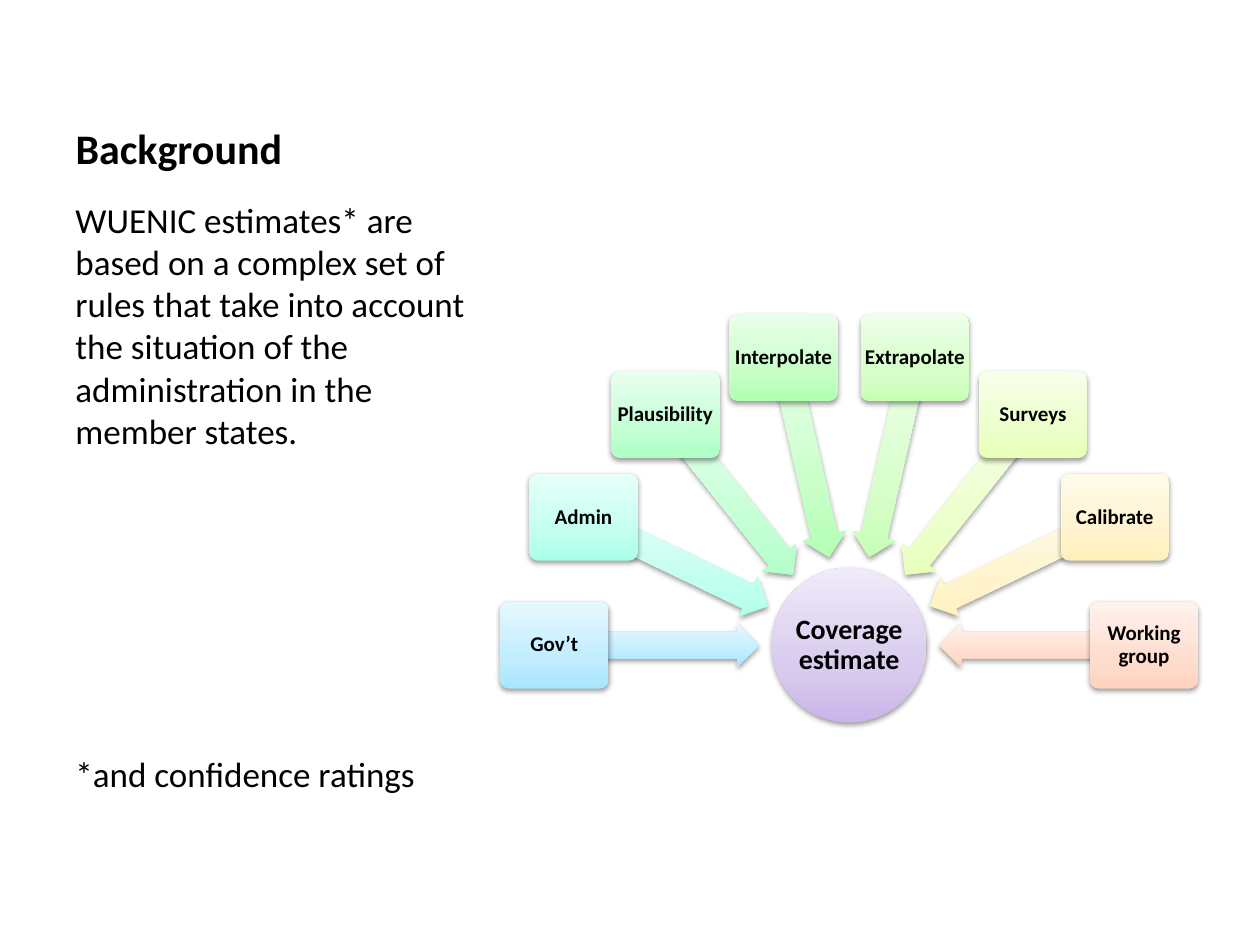
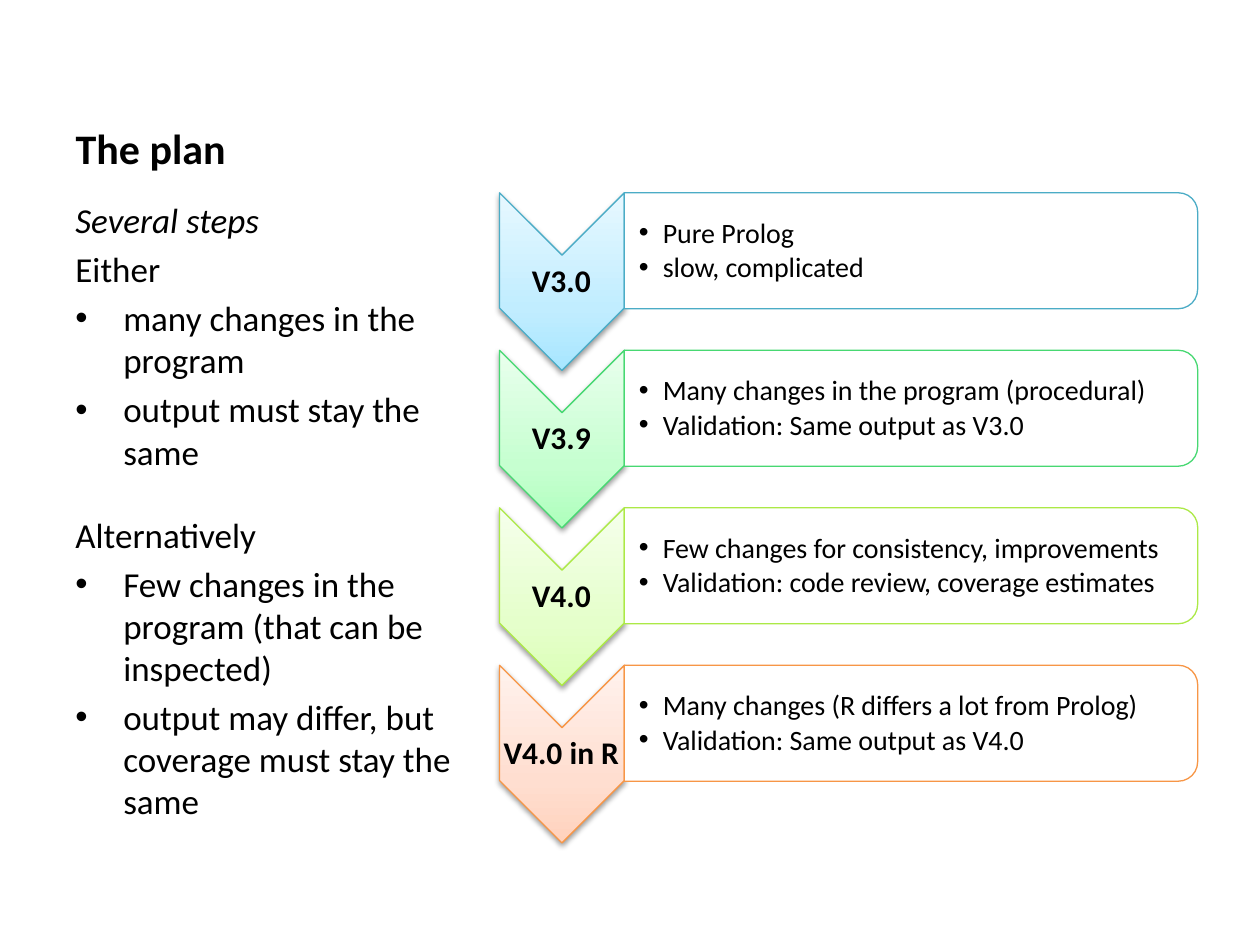
from copy import deepcopy
from math import cos, radians, sin

from lxml import etree
from pptx import Presentation
from pptx.dml.color import RGBColor
from pptx.enum.shapes import MSO_SHAPE
from pptx.enum.text import MSO_ANCHOR, PP_ALIGN
from pptx.oxml.ns import qn
from pptx.util import Inches, Pt

FONT = "Calibri"
BLACK = RGBColor(0x00, 0x00, 0x00)
WHITE = RGBColor(0xFF, 0xFF, 0xFF)
CENTER, LEFT = PP_ALIGN.CENTER, PP_ALIGN.LEFT
TOP, MIDDLE, BOTTOM = MSO_ANCHOR.TOP, MSO_ANCHOR.MIDDLE, MSO_ANCHOR.BOTTOM
ELLIPSE, ROUNDED = MSO_SHAPE.OVAL, MSO_SHAPE.ROUNDED_RECTANGLE
ARROW, CHEVRON = MSO_SHAPE.LEFT_ARROW, MSO_SHAPE.CHEVRON
PANEL = MSO_SHAPE.ROUND_2_SAME_RECTANGLE


def shades(*codes):
    return [RGBColor.from_string(code) for code in codes]


PURPLE = shades("C9B5E8", "D8CBEE", "F0EAF9")
BLUE = shades("A7E6FF", "C1EDFF", "E7F8FF")
AQUA = shades("AAFFEA", "C3FFEF", "E8FFF9")
MINT = shades("AEFFC6", "C5FFD6", "E9FFEF")
GREEN = shades("B1FFB2", "C8FFC8", "EAFFEA")
LEAF = shades("C6FFB4", "D6FFCA", "EFFFEB")
LIME = shades("E7FFB7", "EDFFCC", "F8FFEC")
YELLOW = shades("FFF0BA", "FFF4CE", "FFFBEC")
ORANGE = shades("FFD2BD", "FFDED0", "FFF2ED")
SPRING = shades("AFFFBD", "C6FFD0", "E9FFED")
CHARTREUSE = shades("DBFFB6", "E5FFCB", "F5FFEB")
BLUE_EDGE, SPRING_EDGE, CHARTREUSE_EDGE, ORANGE_EDGE = shades(
    "4BACC6", "47D872", "ACE946", "F79646")
SHADE_STOPS = (0, 0.35, 1)

HUB = "Coverage estimate"
SOURCES = [
    ("Gov’t", BLUE),
    ("Admin", AQUA),
    ("Plausibility", MINT),
    ("Interpolate", GREEN),
    ("Extrapolate", LEAF),
    ("Surveys", LIME),
    ("Calibrate", YELLOW),
    ("Working group", ORANGE),
]
BULLETED = {"bullet_indent": 0.38}
BACKGROUND_NOTES = [
    ("WUENIC estimates* are based on a complex set of rules that take into account "
     "the situation of the administration in the member states.", {}),
    ("*and confidence ratings", {"before": 172}),
]
PLAN_NOTES = [
    ("Several steps", {"italic": True}),
    ("Either", {}),
    ("many changes in the program", BULLETED),
    ("output must stay the same", BULLETED),
    ("Alternatively", {"before": 23.5}),
    ("Few changes in the program (that can be inspected)", BULLETED),
    ("output may differ, but coverage must stay the same", BULLETED),
]
VERSIONS = [
    ("V3.0", BLUE, BLUE_EDGE, ["Pure Prolog", "slow, complicated"]),
    ("V3.9", SPRING, SPRING_EDGE,
     ["Many changes in the program (procedural)", "Validation: Same output as V3.0"]),
    ("V4.0", CHARTREUSE, CHARTREUSE_EDGE,
     ["Few changes for consistency, improvements",
      "Validation: code review, coverage estimates"]),
    ("V4.0 in R", ORANGE, ORANGE_EDGE,
     ["Many changes (R differs a lot from Prolog)", "Validation: Same output as V4.0"]),
]

HUB_X, HUB_Y, HUB_SIZE = 6.74, 5.12, 1.23
SOURCE_RADIUS, ARROW_RADIUS = 2.34, 1.53
SOURCE_SIZE, ARROW_SIZE = (0.86, 0.69), (1.63, 0.35)
FIRST_ROW, ROW_PITCH = 1.53, 1.25
CHEVRON_SIZE, PANEL_SIZE = (1.41, 0.99), (0.92, 4.55)
CHEVRON_X, PANEL_X = 4.46, 7.23


def write(frame, text, size=20, bold=False, italic=False, align=LEFT,
          spacing=1, before=0, after=0, bullet_indent=None):
    paragraph = frame.paragraphs[0]
    if paragraph.runs:
        paragraph = frame.add_paragraph()
    paragraph.alignment = align
    paragraph.line_spacing = spacing
    paragraph.space_before, paragraph.space_after = Pt(before), Pt(after)
    if bullet_indent:
        properties = paragraph._p.get_or_add_pPr()
        properties.set("marL", str(Inches(bullet_indent)))
        properties.set("indent", str(-Inches(bullet_indent)))
        etree.SubElement(properties, qn("a:buFont"), typeface="Arial")
        etree.SubElement(properties, qn("a:buChar"), char="•")
    run = paragraph.add_run()
    run.text = text
    font = run.font
    font.name, font.size, font.bold, font.italic = FONT, Pt(size), bold, italic
    font.color.rgb = BLACK


def set_frame(frame, anchor=TOP, insets=(0, 0, 0, 0)):
    frame.word_wrap = True
    frame.vertical_anchor = anchor
    (frame.margin_left, frame.margin_top,
     frame.margin_right, frame.margin_bottom) = map(Inches, insets)
    return frame


def add_text_area(slide, left, top, width, height, **layout):
    area = slide.shapes.add_textbox(*map(Inches, (left, top, width, height)))
    return set_frame(area.text_frame, **layout)


def add_centered(slide, kind, x, y, size, rotation=0, edge=None):
    width, height = size
    shape = slide.shapes.add_shape(
        kind, *map(Inches, (x - width / 2, y - height / 2, width, height)))
    shape.rotation = rotation
    shape.shadow.inherit = False
    if edge:
        shape.line.color.rgb = edge
        shape.line.width = Pt(0.75)
    else:
        shape.line.fill.background()
    return shape


def shade(shape, colors):
    shape.fill.gradient()
    shape.fill.gradient_angle = 90
    properties = shape._element.spPr
    gradient = properties.find(qn("a:gradFill"))
    gradient.set("rotWithShape", "0")
    stops = gradient.find(qn("a:gsLst"))
    stops.append(deepcopy(stops[0]))
    for stop, position, color in zip(shape.fill.gradient_stops, SHADE_STOPS, colors):
        stop.position = position
        stop.color.rgb = color
    shadow = etree.SubElement(
        properties.find(qn("a:effectLst")), qn("a:outerShdw"), blurRad="40000",
        dist="20000", dir="5400000", rotWithShape="0")
    tone = etree.SubElement(shadow, qn("a:srgbClr"), val=str(BLACK))
    etree.SubElement(tone, qn("a:alpha"), val="38000")


def label(shape, text, size):
    frame = set_frame(shape.text_frame, anchor=MIDDLE)
    write(frame, text, size=size, bold=True, align=CENTER, spacing=0.9)


def add_slide(deck, heading, notes, notes_height):
    slide = deck.slides.add_slide(deck.slide_layouts[5])
    title = slide.shapes.title
    title.left, title.top, title.width, title.height = map(Inches, (0.5, 0.3, 4.73, 1.12))
    insets = (0.1, 0.05, 0.1, 0.05)
    write(set_frame(title.text_frame, anchor=BOTTOM, insets=insets),
          heading, size=24, bold=True)
    frame = add_text_area(slide, 0.5, 1.53, 3.29, notes_height, insets=insets)
    for text, style in notes:
        write(frame, text, **{"before": 4, **style})
    return slide


def draw_sources(slide):
    hub = add_centered(slide, ELLIPSE, HUB_X, HUB_Y, (HUB_SIZE, HUB_SIZE))
    shade(hub, PURPLE)
    label(hub, HUB, 16)
    for index, (name, colors) in enumerate(SOURCES):
        angle = 180 + 180 * index / (len(SOURCES) - 1)
        across, down = cos(radians(angle)), sin(radians(angle))
        arrow = add_centered(slide, ARROW, HUB_X + ARROW_RADIUS * across,
                             HUB_Y + ARROW_RADIUS * down, ARROW_SIZE, rotation=angle)
        arrow.adjustments[0] = 0.6
        shade(arrow, colors)
        source = add_centered(slide, ROUNDED, HUB_X + SOURCE_RADIUS * across,
                              HUB_Y + SOURCE_RADIUS * down, SOURCE_SIZE)
        source.adjustments[0] = 0.1
        shade(source, colors)
        label(source, name, 12)


def draw_versions(slide):
    for row, (version, colors, edge, changes) in enumerate(VERSIONS):
        top = FIRST_ROW + ROW_PITCH * row
        chevron = add_centered(slide, CHEVRON, CHEVRON_X, top + CHEVRON_SIZE[0] / 2,
                               CHEVRON_SIZE, rotation=90, edge=edge)
        shade(chevron, colors)
        name = add_text_area(slide, 3.96, top + 0.5, 0.99, 0.42,
                             anchor=MIDDLE, insets=(0.01,) * 4)
        write(name, version, size=18, bold=True, align=CENTER, spacing=0.9)
        panel = add_centered(slide, PANEL, PANEL_X, top + PANEL_SIZE[0] / 2,
                             PANEL_SIZE, rotation=90, edge=edge)
        panel.fill.solid()
        panel.fill.fore_color.rgb = WHITE
        details = add_text_area(slide, 4.95, top + 0.05, 4.51, 0.83,
                                anchor=MIDDLE, insets=(0.12, 0.01, 0.01, 0.01))
        for change in changes:
            write(details, change, size=16, spacing=0.9, after=2.4, bullet_indent=0.19)


def main():
    deck = Presentation()
    deck.slide_width, deck.slide_height = Inches(10), Inches(7.5)
    draw_sources(add_slide(deck, "Background", BACKGROUND_NOTES, 5.17))
    draw_versions(add_slide(deck, "The plan", PLAN_NOTES, 5.97))
    deck.save("out.pptx")


if __name__ == "__main__":
    main()
